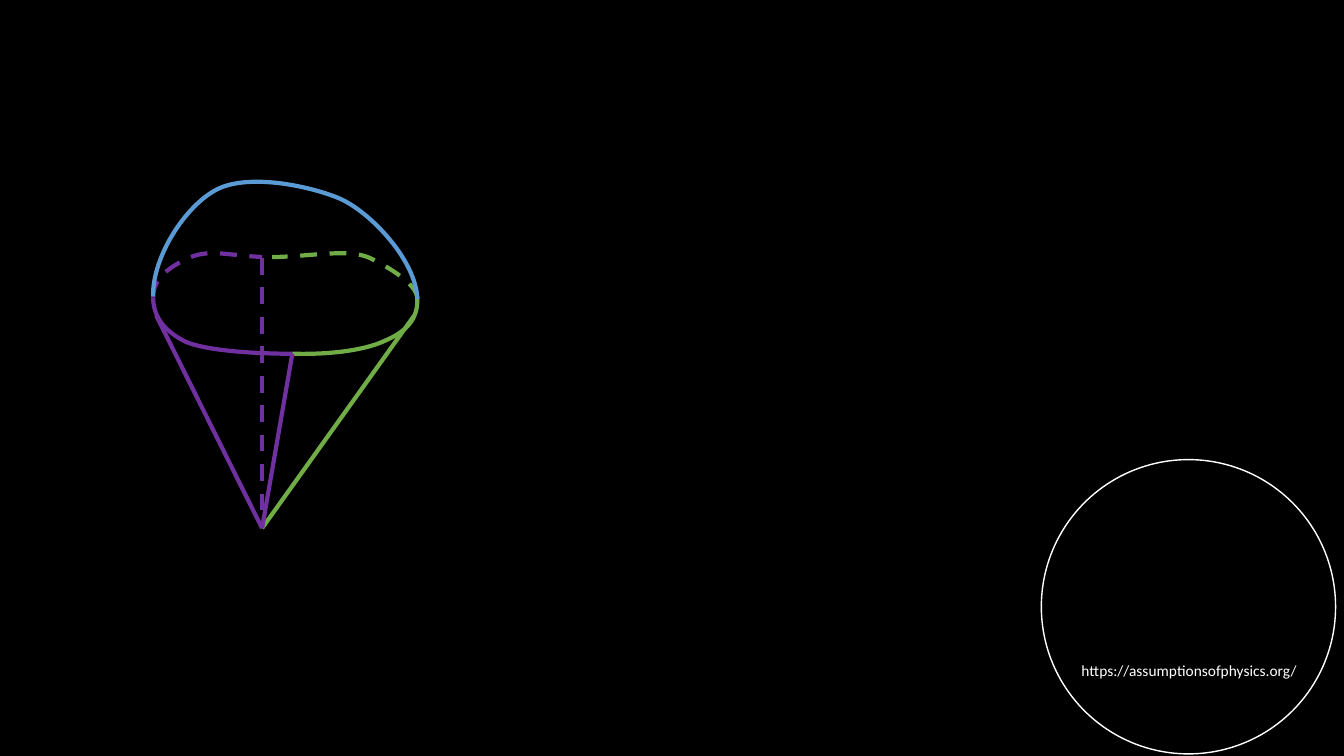
from dataclasses import dataclass

from lxml.etree import SubElement
from pptx import Presentation
from pptx.dml.color import RGBColor as RGB
from pptx.enum.dml import MSO_LINE as DASH
from pptx.enum.shapes import MSO_CONNECTOR as CONN, MSO_SHAPE as SHAPE
from pptx.enum.text import MSO_AUTO_SIZE as AUTO
from pptx.oxml.ns import qn
from pptx.util import Pt


@dataclass
class Theme:
    back: RGB = RGB(0, 0, 0)
    white: RGB = RGB(255, 255, 255)
    purple: RGB = RGB(0x70, 0x30, 0xA0)
    green: RGB = RGB(0x70, 0xAD, 0x47)
    blue: RGB = RGB(0x5B, 0x9B, 0xD5)
    font: str = "Calibri"
    size: Pt = Pt(11)
    thin: Pt = Pt(1)
    thick: Pt = Pt(3)


theme = Theme()


def style_line(line, color, width, dashed=False):
    line.color.rgb = color
    line.width = width
    if dashed:
        line.dash_style = DASH.DASH


def add_curve(points, color, dashed=False):
    start, *rest = [(Pt(x), Pt(y)) for x, y in points]
    builder = s.shapes.build_freeform(*start)
    builder.add_line_segments(rest, close=False)
    sp = builder.convert_to_shape()
    sp.shadow.inherit = False
    sp.fill.background()
    style_line(sp.line, color, theme.thick, dashed)
    outline = next(sp.element.iter(qn("a:path")))
    segments = outline.findall(qn("a:lnTo"))
    for i in range(0, len(segments), 3):
        cubic = SubElement(outline, qn("a:cubicBezTo"))
        for segment in segments[i:i + 3]:
            cubic.append(segment[0])
            outline.remove(segment)


prs = Presentation()
prs.slide_width, prs.slide_height = Pt(960), Pt(540)
s = prs.slides.add_slide(prs.slide_layouts[6])
s.background.fill.solid()
s.background.fill.fore_color.rgb = theme.back

circle = s.shapes.add_shape(SHAPE.OVAL, Pt(743.8), Pt(328.3), Pt(210.2), Pt(210.2))
circle.shadow.inherit = False
circle.fill.background()
style_line(circle.line, theme.white, theme.thin)

address = s.shapes.add_textbox(Pt(765.4), Pt(468.7), Pt(169.2), Pt(20.9))
tf = address.text_frame
tf.word_wrap = False
tf.auto_size = AUTO.SHAPE_TO_FIT_TEXT
p = tf.paragraphs[0]
p.text = "https://assumptionsofphysics.org/"
p.font.name = theme.font
p.font.size = theme.size
p.font.color.rgb = theme.white

rim = [
    (theme.purple, False, [(109.4, 212.4), (109.4, 226.8), (118.1, 236.9), (132.5, 244.1),
                           (147.6, 250.6), (182.2, 252.7), (208.8, 252.7)]),
    (theme.green, False, [(298.1, 212.4), (298.8, 228.2), (290.2, 236.9), (275, 243.4),
                          (259.9, 250.6), (234, 253.4), (208.8, 252.7)]),
    (theme.purple, True, [(109.4, 212.4), (109.4, 199.4), (119.5, 191.5), (134.6, 184.3),
                          (149.8, 177.8), (160.6, 182.2), (187.2, 183.6)]),
    (theme.green, True, [(298.1, 213.1), (298.1, 203.8), (279.4, 191.5), (264.2, 184.3),
                         (249.1, 177.1), (219.6, 183.6), (194.4, 183.6)]),
]
for color, dashed, points in rim:
    add_curve(points, color, dashed)

apex = Pt(187.2), Pt(377.3)
edges = [
    (111.6, 225.4, theme.purple, False),
    (295.9, 225.4, theme.green, False),
    (208.8, 252.7, theme.purple, False),
    (187.2, 184.3, theme.purple, True),
]
for x, y, color, dashed in edges:
    edge = s.shapes.add_connector(CONN.STRAIGHT, Pt(x), Pt(y), *apex)
    style_line(edge.line, color, theme.thick, dashed)
    SubElement(edge.element.spPr, qn("a:effectLst"))

dome = [(109.4, 211.7), (108.7, 183.6), (132.5, 146.9), (154.8, 135.4),
        (177.1, 123.8), (220.3, 132.5), (242.6, 141.8),
        (264.2, 151.2), (297.4, 185.8), (298.1, 213.8)]
add_curve(dome, theme.blue)

prs.save("out.pptx")
